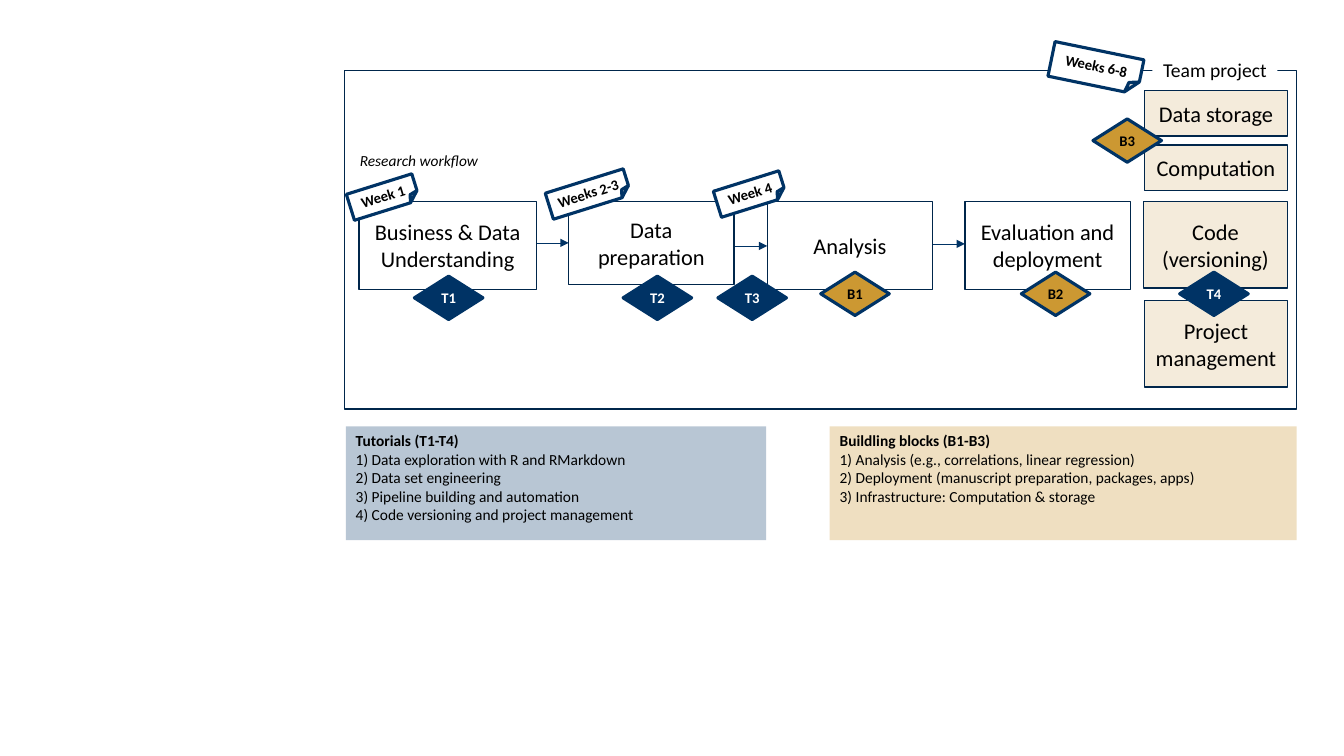
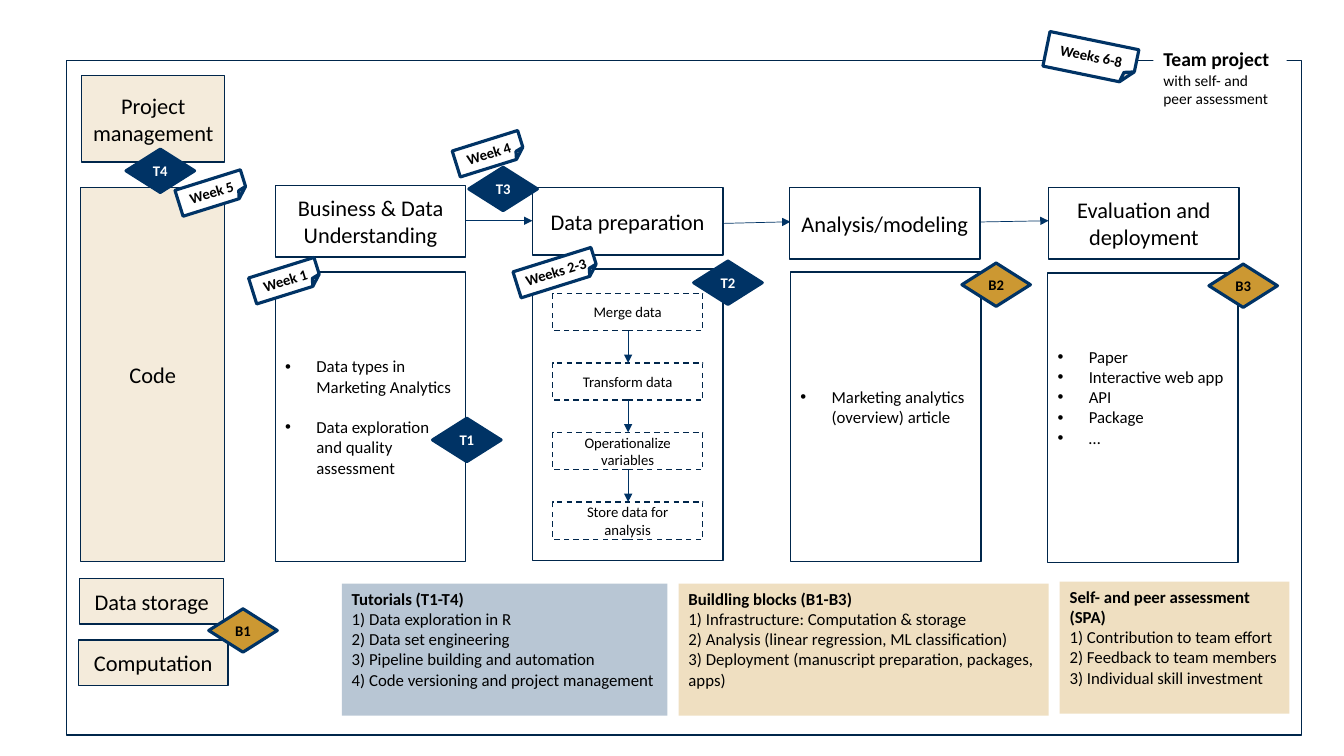
from dataclasses import dataclass

from lxml import etree
from pptx import Presentation
from pptx.dml.color import RGBColor
from pptx.enum.dml import MSO_LINE
from pptx.enum.shapes import MSO_CONNECTOR, MSO_SHAPE
from pptx.enum.text import MSO_ANCHOR, PP_ALIGN
from pptx.oxml.ns import qn
from pptx.util import Inches, Pt

RECTANGLE = MSO_SHAPE.RECTANGLE
DIAMOND = MSO_SHAPE.DIAMOND
FOLDED_CORNER = MSO_SHAPE.FOLDED_CORNER
STRAIGHT = MSO_CONNECTOR.STRAIGHT
DASH = MSO_LINE.DASH
LEFT, CENTER = PP_ALIGN.LEFT, PP_ALIGN.CENTER
TOP, MIDDLE = MSO_ANCHOR.TOP, MSO_ANCHOR.MIDDLE

FONT = "Calibri"
COLORS = {
    "navy": "003365",
    "outline": "00264B",
    "gold": "CC9832",
    "cream": "F4EBDB",
    "white": "FFFFFF",
    "black": "000000",
}
NORMAL_INSETS = (0.1, 0.05, 0.1, 0.05)
BULLET_INDENT = 0.31


@dataclass(frozen=True)
class Area:
    left: float
    top: float
    width: float
    height: float


@dataclass(frozen=True)
class Box:
    area: Area
    text: str
    fill: str = "white"


@dataclass(frozen=True)
class Arrow:
    x1: float
    y1: float
    x2: float
    y2: float


@dataclass(frozen=True)
class Badge:
    """A diamond: T for a tutorial, B for a building block."""
    text: str
    left: float
    top: float


@dataclass(frozen=True)
class WeekNote:
    text: str
    area: Area
    rotation: float = 342.6


@dataclass(frozen=True)
class Legend:
    text: str
    area: Area
    color: str
    opacity: int
    wrap: bool = True


@dataclass(frozen=True)
class BulletPanel:
    area: Area
    text: str
    bottom_inset: float = 0.05
    gap: float = 0


def rgb(name: str) -> RGBColor:
    return RGBColor.from_string(COLORS[name])


def write(shape, text: str, *, size: float, color: str = "black", bold: bool = False,
          italic: bool = False, align=CENTER, anchor=MIDDLE, insets=NORMAL_INSETS,
          wrap: bool = True, heading_size: float = 0, bullets: bool = False,
          gap: float = 0) -> None:
    """Write one paragraph a line; a heading size makes the first one a bold heading."""
    frame = shape.text_frame
    frame.word_wrap = wrap
    frame.vertical_anchor = anchor
    (frame.margin_left, frame.margin_top,
     frame.margin_right, frame.margin_bottom) = map(Inches, insets)
    for index, line in enumerate(text.split("\n")):
        para = frame.paragraphs[0] if index == 0 else frame.add_paragraph()
        if bullets:
            add_bullet(para)
        para.alignment = align
        if index and gap:
            para.space_before = Pt(gap)
        heading = index == 0 and heading_size > 0
        span = para.add_run()
        span.text = line
        span.font.name = FONT
        span.font.size = Pt(heading_size if heading else size)
        span.font.bold = bold or heading
        span.font.italic = italic
        span.font.color.rgb = rgb(color)


def add_bullet(para) -> None:
    properties = para._p.get_or_add_pPr()
    properties.set("marL", str(Inches(BULLET_INDENT)))
    properties.set("indent", str(-Inches(BULLET_INDENT)))
    etree.SubElement(properties, qn("a:buFont")).set("typeface", "Arial")
    etree.SubElement(properties, qn("a:buChar")).set("char", "•")


def draw_shape(page, area: Area, *, kind=RECTANGLE, fill: str = "white",
               opacity: int = 100, line: str = "outline", weight: float = 1, dash=None):
    shape = page.shapes.add_shape(kind, Inches(area.left), Inches(area.top),
                                  Inches(area.width), Inches(area.height))
    shape.shadow.inherit = False
    shape.fill.solid()
    shape.fill.fore_color.rgb = rgb(fill)
    if opacity < 100:
        color = shape._element.spPr.find(qn("a:solidFill"))[0]
        etree.SubElement(color, qn("a:alpha")).set("val", str(opacity * 1000))
    if not line:
        shape.line.fill.background()
        return shape
    shape.line.color.rgb = rgb(line)
    shape.line.width = Pt(weight)
    if dash is not None:
        shape.line.dash_style = dash
    return shape


def draw_box(page, box: Box) -> None:
    write(draw_shape(page, box.area, fill=box.fill), box.text, size=16)


def draw_arrow(page, arrow: Arrow) -> None:
    connector = page.shapes.add_connector(
        STRAIGHT, Inches(arrow.x1), Inches(arrow.y1), Inches(arrow.x2), Inches(arrow.y2))
    connector.line.color.rgb = rgb("navy")
    connector.line.width = Pt(0.5)
    etree.SubElement(connector.line._get_or_add_ln(), qn("a:tailEnd")).set("type", "triangle")
    etree.SubElement(connector._element.spPr, qn("a:effectLst"))


def draw_badge(page, badge: Badge) -> None:
    tutorial = badge.text.startswith("T")
    shape = draw_shape(page, Area(badge.left, badge.top, 0.68, 0.43), kind=DIAMOND,
                       fill="navy" if tutorial else "gold", line="navy", weight=2.25)
    write(shape, badge.text, size=10.5, bold=True, insets=(0, 0, 0, 0),
          color="white" if tutorial else "black")


def draw_week_note(page, note: WeekNote) -> None:
    shape = draw_shape(page, note.area, kind=FOLDED_CORNER, line="navy", weight=2.25)
    geometry = shape._element.spPr.find(qn("a:prstGeom"))
    fold = etree.SubElement(geometry.find(qn("a:avLst")), qn("a:gd"))
    fold.set("name", "adj")
    fold.set("fmla", "val 35800")
    shape.rotation = note.rotation
    write(shape, note.text, size=10.5, bold=True, insets=(0, 0.08, 0, 0))


def draw_legend(page, legend: Legend, size: float) -> None:
    shape = draw_shape(page, legend.area, fill=legend.color, opacity=legend.opacity, line="")
    write(shape, legend.text, size=size, heading_size=size, align=LEFT, anchor=TOP,
          wrap=legend.wrap)


def draw_bullet_panel(page, panel: BulletPanel) -> None:
    write(draw_shape(page, panel.area), panel.text, size=12, align=LEFT, bullets=True,
          gap=panel.gap, insets=(0.1, 0.05, 0.1, panel.bottom_inset))


def draw_preparation_steps(page) -> None:
    """Draw the data preparation panel with its chain of dashed steps."""
    draw_shape(page, Area(5.28, 2.67, 1.89, 2.89))
    steps = ("Merge data", "Transform data", "Operationalize variables",
             "Store data for analysis")
    first_top, pitch, height = 2.91, 0.69, 0.37
    for index, step in enumerate(steps):
        top = first_top + index * pitch
        shape = draw_shape(page, Area(5.48, top, 1.49, height), dash=DASH)
        write(shape, step, size=10.5)
        if index:
            draw_arrow(page, Arrow(6.23, top - pitch + height, 6.23, top))


def draw_marks(page, badges: list[Badge], notes: list[WeekNote],
               legends: list[Legend], legend_size: float) -> None:
    for badge in badges:
        draw_badge(page, badge)
    for note in notes:
        draw_week_note(page, note)
    for legend in legends:
        draw_legend(page, legend, legend_size)


def build_workflow(page) -> None:
    draw_shape(page, Area(3.42, 0.7, 9.44, 3.36))
    for x, y in ((5.22, 2.41), (7.19, 2.44), (9.15, 2.42)):
        draw_arrow(page, Arrow(x, y, x + 0.42, y))
    for box in (
        Box(Area(11.34, 2, 1.43, 0.86), "Code (versioning)", "cream"),
        Box(Area(11.35, 0.9, 1.42, 0.45), "Data storage", "cream"),
        Box(Area(11.35, 2.98, 1.42, 0.86), "Project management", "cream"),
        Box(Area(11.35, 1.44, 1.42, 0.45), "Computation", "cream"),
        Box(Area(3.56, 2, 1.76, 0.87), "Business & Data Understanding"),
        Box(Area(5.64, 2, 1.64, 0.82), "Data\npreparation"),
        Box(Area(7.61, 2, 1.64, 0.87), "Analysis"),
        Box(Area(9.57, 2, 1.64, 0.87), "Evaluation and deployment"),
    ):
        draw_box(page, box)
    write(draw_shape(page, Area(11.43, 0.53, 1.24, 0.34), line=""), "Team project",
          size=14, anchor=TOP, wrap=False)
    caption = page.shapes.add_textbox(Inches(3.47), Inches(1.45), Inches(1.4), Inches(0.29))
    write(caption, "Research workflow", size=11, italic=True, align=LEFT, anchor=TOP, wrap=False)
    draw_marks(
        page,
        [Badge("T1", 4.11, 2.74), Badge("T2", 6.18, 2.74), Badge("T3", 7.12, 2.74),
         Badge("T4", 11.7, 2.7), Badge("B1", 8.14, 2.7), Badge("B2", 10.13, 2.7),
         Badge("B3", 10.84, 1.18)],
        [WeekNote("Week 1", Area(3.46, 1.82, 0.68, 0.27)),
         WeekNote("Weeks 2-3", Area(5.43, 1.79, 0.81, 0.27)),
         WeekNote("Week 4", Area(7.1, 1.79, 0.68, 0.27)),
         WeekNote("Weeks 6-8", Area(10.42, 0.5, 0.9, 0.35), 11.6)],
        [Legend("Tutorials (T1-T4)\n1) Data exploration with R and RMarkdown\n"
                "2) Data set engineering\n3) Pipeline building and automation\n"
                "4) Code versioning and project management",
                Area(3.43, 4.23, 4.17, 1.13), "navy", 28, wrap=False),
         Legend("Buildling blocks (B1-B3)\n1) Analysis (e.g., correlations, linear regression)\n"
                "2) Deployment (manuscript preparation, packages, apps)\n"
                "3) Infrastructure: Computation & storage",
                Area(8.23, 4.23, 4.63, 1.13), "gold", 30)],
        legend_size=11)


def build_detailed_workflow(page) -> None:
    draw_shape(page, Area(0.66, 0.6, 12.25, 6.69))
    for arrow in (Arrow(4.62, 2.19, 5.28, 2.19), Arrow(7.03, 2.22, 7.84, 2.2),
                  Arrow(9.29, 2.21, 10.4, 2.19)):
        draw_arrow(page, arrow)
    for panel in (
        BulletPanel(Area(2.73, 2.7, 1.89, 2.87), "Data types in Marketing Analytics\n"
                    "Data exploration and quality assessment", gap=14.6),
        BulletPanel(Area(7.84, 2.7, 1.89, 2.87), "Marketing analytics (overview) article", 0.25),
        BulletPanel(Area(10.39, 2.71, 1.89, 2.87),
                    "Paper\nInteractive web app\nAPI\nPackage\n…", 0.46),
    ):
        draw_bullet_panel(page, panel)
    draw_preparation_steps(page)
    for box in (
        Box(Area(0.81, 0.75, 1.42, 0.86), "Project management", "cream"),
        Box(Area(0.8, 1.86, 1.43, 3.71), "Code", "cream"),
        Box(Area(0.79, 5.74, 1.43, 0.45), "Data storage", "cream"),
        Box(Area(0.78, 6.35, 1.48, 0.45), "Computation", "cream"),
        Box(Area(2.73, 1.84, 1.89, 0.71), "Business & Data Understanding"),
        Box(Area(5.28, 1.86, 1.89, 0.67), "Data preparation"),
        Box(Area(7.83, 1.86, 1.89, 0.71), "Analysis/modeling"),
        Box(Area(10.4, 1.86, 1.89, 0.71), "Evaluation and deployment"),
    ):
        draw_box(page, box)
    write(draw_shape(page, Area(11.44, 0.42, 1.32, 0.71), line=""),
          "Team project\nwith self- and peer assessment",
          size=11, heading_size=14, align=LEFT, anchor=TOP)
    draw_marks(
        page,
        [Badge("T1", 4.29, 4.15), Badge("T2", 6.88, 2.59), Badge("T3", 4.65, 1.66),
         Badge("T4", 1.25, 1.48), Badge("B1", 2.07, 6.04), Badge("B2", 9.54, 2.61),
         Badge("B3", 11.99, 2.62)],
        [WeekNote("Week 1", Area(2.49, 2.65, 0.68, 0.27)),
         WeekNote("Weeks 2-3", Area(5.11, 2.57, 0.81, 0.27)),
         WeekNote("Week 4", Area(4.51, 1.39, 0.68, 0.27)),
         WeekNote("Week 5", Area(1.76, 1.78, 0.68, 0.27)),
         WeekNote("Weeks 6-8", Area(10.37, 0.4, 0.9, 0.35), 11.6)],
        [Legend("Tutorials (T1-T4)\n1) Data exploration in R\n2) Data set engineering\n"
                "3) Pipeline building and automation\n4) Code versioning and project management",
                Area(3.39, 5.79, 3.23, 1.31), "navy", 28, wrap=False),
         Legend("Buildling blocks (B1-B3)\n1) Infrastructure: Computation & storage\n"
                "2) Analysis (linear regression, ML classification)\n"
                "3) Deployment (manuscript preparation, packages, apps)",
                Area(6.73, 5.79, 3.67, 1.31), "gold", 30),
         Legend("Self- and peer assessment (SPA)\n1) Contribution to team effort\n"
                "2) Feedback to team members\n3) Individual skill investment",
                Area(10.51, 5.77, 2.28, 1.31), "gold", 30)],
        legend_size=12)


def main() -> None:
    deck = Presentation()
    deck.slide_width, deck.slide_height = Inches(13.33), Inches(7.5)
    blank = deck.slide_layouts[6]
    for build in (build_workflow, build_detailed_workflow):
        build(deck.slides.add_slide(blank))
    deck.save("out.pptx")


if __name__ == "__main__":
    main()
